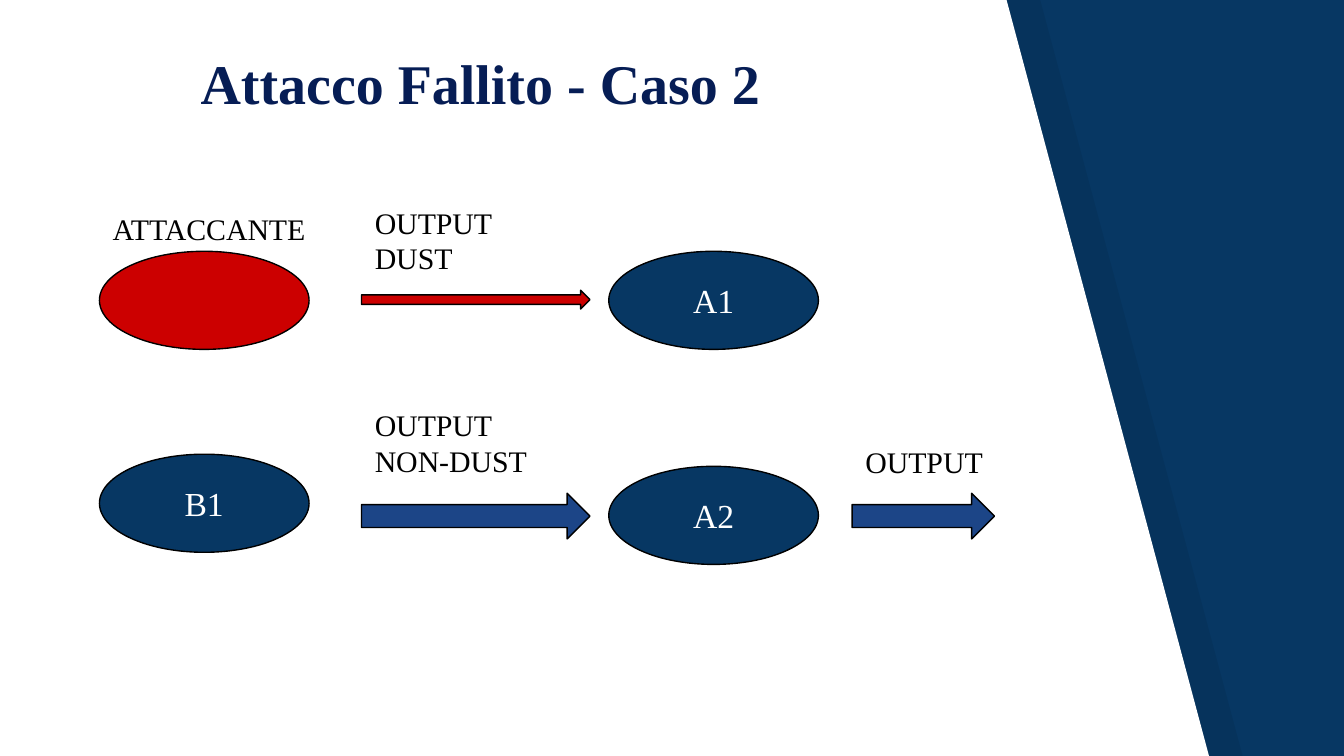
from lxml import etree
from pptx import Presentation
from pptx.dml.color import RGBColor
from pptx.enum import shapes, text
from pptx.oxml import ns
from pptx.util import Inches, Pt

COLORS = {
    "navy": "073763",
    "blue": "1C4587",
    "red": "CC0000",
    "title": "061D55",
    "black": "000000",
    "white": "FFFFFF",
}
FONT = "Times New Roman"


def color(name):
    return RGBColor.from_string(COLORS[name])


def write(shape, words, size, color_name, align, anchor, bold=False):
    frame = shape.text_frame
    frame.word_wrap = True
    frame.vertical_anchor = anchor
    frame.margin_left = frame.margin_right = Inches(0.1)
    frame.margin_top = frame.margin_bottom = Inches(0.1)
    paragraph = frame.paragraphs[0]
    paragraph.alignment = align
    run = paragraph.add_run()
    run.text = words
    run.font.name = FONT
    run.font.size = Pt(size)
    run.font.bold = bold
    run.font.color.rgb = color(color_name)


presentation = Presentation()
presentation.slide_width = Inches(10)
presentation.slide_height = Inches(5.625)
slide = presentation.slides.add_slide(presentation.slide_layouts[5])

# Background: navy with a white slanted panel over its soft shadow
slide.background.fill.solid()
slide.background.fill.fore_color.rgb = color("navy")
for left, color_name, opacity in [(0.25, "black", 7), (0, "white", 100)]:
    builder = slide.shapes.build_freeform(Inches(left), Inches(-0.01))
    corners = [(left, 5.64), (left + 9, 5.64), (left + 7.49, 0)]
    builder.add_line_segments([(Inches(x), Inches(y)) for x, y in corners])
    panel = builder.convert_to_shape()
    panel.shadow.inherit = False
    panel.fill.solid()
    panel.fill.fore_color.rgb = color(color_name)
    panel.line.fill.background()
    if opacity < 100:
        fill_color = panel.element.spPr.find(".//" + ns.qn("a:srgbClr"))
        etree.SubElement(fill_color, ns.qn("a:alpha"), val=str(opacity * 1000))

# Title, brought in front of the panels
title = slide.shapes.title
title.element.getparent().append(title.element)
title.left, title.top = Inches(0.95), Inches(0.51)
title.width, title.height = Inches(5.25), Inches(0.45)
write(title, "Attacco Fallito - Caso 2", 30, "title",
      text.PP_ALIGN.CENTER, text.MSO_ANCHOR.BOTTOM, bold=True)

# Nodes and arrows: kind, left, top, width, height, fill, label
OVAL = shapes.MSO_SHAPE.OVAL
ARROW = shapes.MSO_SHAPE.RIGHT_ARROW
diagram = [
    (OVAL, 0.74, 1.87, 1.56, 0.73, "red", ""),
    (ARROW, 2.69, 2.16, 1.7, 0.14, "red", ""),
    (OVAL, 4.53, 1.87, 1.56, 0.73, "navy", "A1"),
    (OVAL, 0.74, 3.38, 1.56, 0.73, "navy", "B1"),
    (ARROW, 2.69, 3.67, 1.7, 0.34, "blue", ""),
    (OVAL, 4.53, 3.47, 1.56, 0.73, "navy", "A2"),
    (ARROW, 6.34, 3.67, 1.06, 0.34, "blue", ""),
]
for kind, left, top, width, height, fill, label in diagram:
    shape = slide.shapes.add_shape(
        kind, Inches(left), Inches(top), Inches(width), Inches(height))
    shape.shadow.inherit = False
    shape.fill.solid()
    shape.fill.fore_color.rgb = color(fill)
    shape.line.color.rgb = color("black")
    shape.line.width = Pt(0.75)
    if label:
        write(shape, label, 18, "white",
              text.PP_ALIGN.CENTER, text.MSO_ANCHOR.MIDDLE)

# Captions above the nodes and arrows
captions = [
    ("ATTACCANTE", 0.74, 1.47, 1.95, 0.47),
    ("OUTPUT DUST", 2.69, 1.42, 1.59, 0.74),
    ("OUTPUT NON-DUST", 2.69, 2.93, 1.59, 0.74),
    ("OUTPUT", 6.34, 3.2, 1.59, 0.47),
]
for words, left, top, width, height in captions:
    caption = slide.shapes.add_textbox(
        Inches(left), Inches(top), Inches(width), Inches(height))
    write(caption, words, 16, "black",
          text.PP_ALIGN.LEFT, text.MSO_ANCHOR.TOP)

presentation.save("out.pptx")
